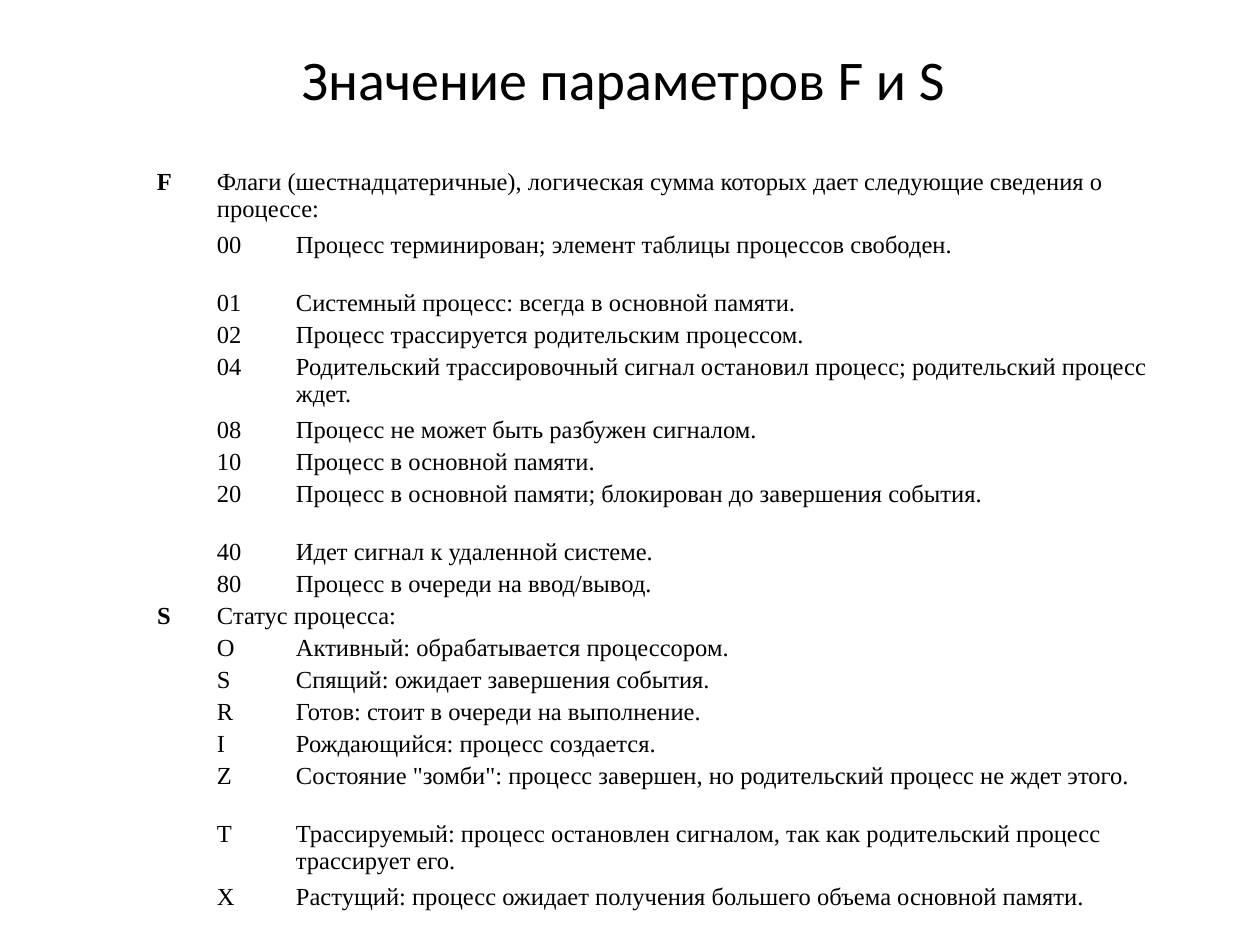
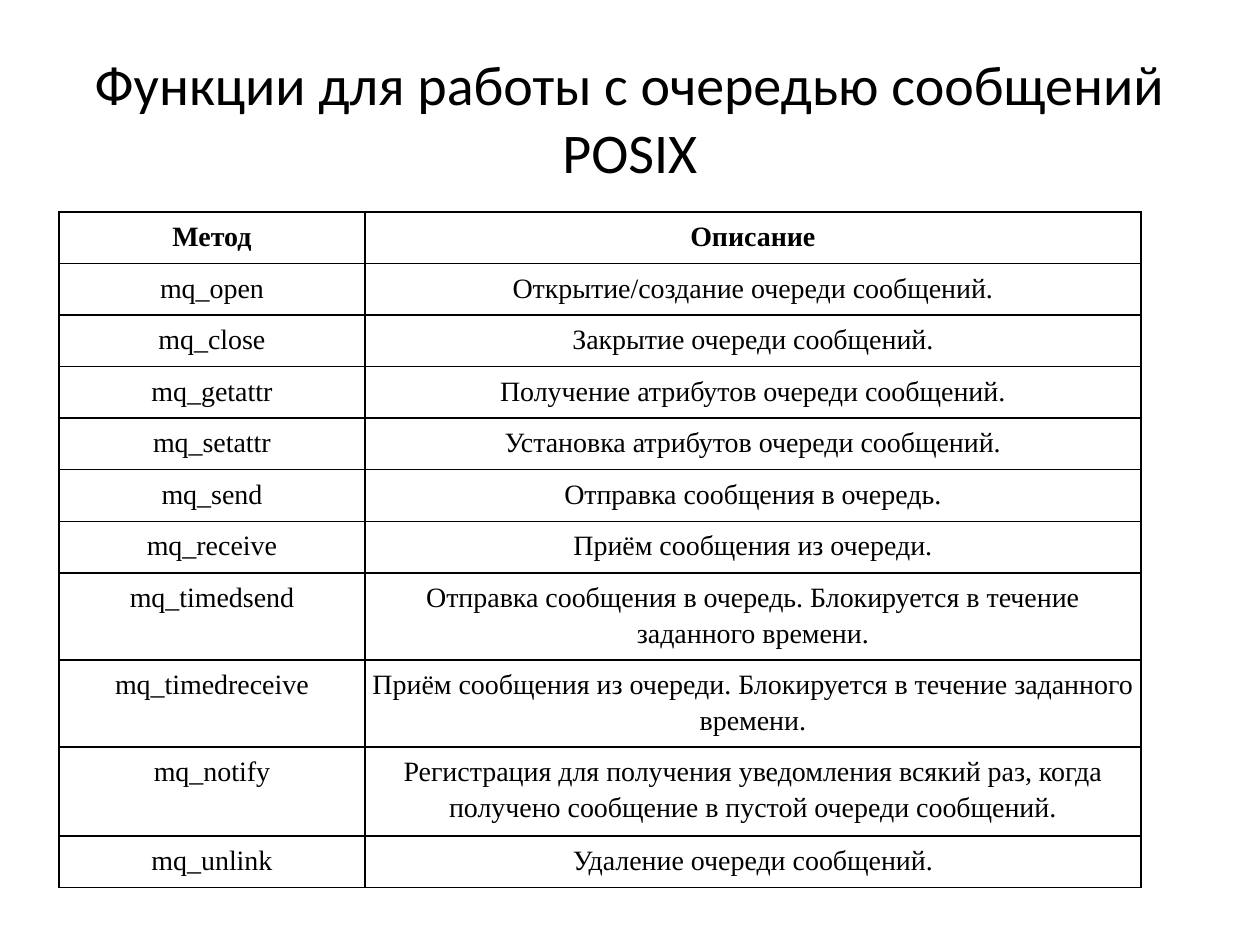
from lxml.etree import SubElement
from pptx import Presentation
from pptx.dml.color import RGBColor
from pptx.enum.text import MSO_ANCHOR as Anchor, PP_ALIGN as Align
from pptx.oxml.ns import qn
from pptx.util import Pt

PX = 914400 // 126
INK = "000000"
TITLE_FONT = dict(name="Calibri", size=Pt(32), bold=False)
FLAG_FONT = dict(name="Times New Roman", size=Pt(14), bold=False)
QUEUE_FONT = dict(name="Times New Roman", size=Pt(16), bold=False)
BOLD = dict(bold=True)

# Row heights of the parameter table
SHORT, LONG, WRAPPED = 32, 58, 63

# Each section: letter, meaning, height of its heading row, (code, meaning, height)
PARAMETERS = [
    ("F ", "Флаги (шестнадцатеричные), логическая сумма которых дает следующие сведения о процессе:", WRAPPED, [
        ("00", "Процесс терминирован; элемент таблицы процессов свободен.", LONG),
        ("01", "Системный процесс: всегда в основной памяти.", SHORT),
        ("02", "Процесс трассируется родительским процессом.", SHORT),
        ("04", "Родительский трассировочный сигнал остановил процесс; родительский процесс ждет.", WRAPPED),
        ("08", "Процесс не может быть разбужен сигналом.", SHORT),
        ("10", "Процесс в основной памяти.", SHORT),
        ("20", "Процесс в основной памяти; блокирован до завершения события.", LONG),
        ("40", "Идет сигнал к удаленной системе.", SHORT),
        ("80", "Процесс в очереди на ввод/вывод.", SHORT),
    ]),
    ("S ", "Статус процесса:", SHORT, [
        ("O", "Активный: обрабатывается процессором.", SHORT),
        ("S", "Спящий: ожидает завершения события.", SHORT),
        ("R", "Готов: стоит в очереди на выполнение.", SHORT),
        ("I", "Рождающийся: процесс создается.", SHORT),
        ("Z", "Состояние \"зомби\": процесс завершен, но родительский процесс не ждет этого.", LONG),
        ("T", "Трассируемый: процесс остановлен сигналом, так как родительский процесс трассирует его.", WRAPPED),
        ("X", "Растущий: процесс ожидает получения большего объема основной памяти.", LONG),
    ]),
]

QUEUE_FUNCTIONS = [
    ("Метод", "Описание"),
    ("mq_open", "Открытие/создание очереди сообщений."),
    ("mq_close", "Закрытие очереди сообщений."),
    ("mq_getattr", "Получение атрибутов очереди сообщений."),
    ("mq_setattr", "Установка атрибутов очереди сообщений."),
    ("mq_send", "Отправка сообщения в очередь."),
    ("mq_receive", "Приём сообщения из очереди."),
    ("mq_timedsend", "Отправка сообщения в очередь. Блокируется в течение заданного времени."),
    ("mq_timedreceive", "Приём сообщения из очереди. Блокируется в течение заданного времени."),
    ("mq_notify", "Регистрация для получения уведомления всякий раз, когда получено сообщение в пустой очереди сообщений."),
    ("mq_unlink", "Удаление очереди сообщений."),
]


def px(length):
    return length * PX


def color(code):
    return RGBColor.from_string(code)


def set_all(target, values):
    for name, value in values.items():
        setattr(target, name, value)


def write(frame, wording, font, **layout):
    paragraph = frame.paragraphs[0]
    set_all(paragraph, layout)
    run = paragraph.add_run()
    run.text = wording
    set_all(run.font, font)
    run.font.color.rgb = color(INK)


def add_title(slide, wording, box):
    frame = slide.shapes.add_textbox(*map(px, box)).text_frame
    set_all(frame, dict(word_wrap=True, vertical_anchor=Anchor.MIDDLE))
    write(frame, wording, TITLE_FONT, alignment=Align.CENTER)


def add_border(cell):
    properties = cell._tc.get_or_add_tcPr()
    for side in ("lnL", "lnR", "lnT", "lnB"):
        edge = SubElement(properties, qn(f"a:{side}"), w=str(Pt(1)))
        fill = SubElement(edge, qn("a:solidFill"))
        SubElement(fill, qn("a:srgbClr"), val=INK)


def add_grid(slide, left, top, widths, heights, margin, bordered=False):
    """Plain table; widths in px, heights in EMU."""
    grid = slide.shapes.add_table(len(heights), len(widths), px(left), px(top),
                                  px(sum(widths)), sum(heights)).table
    set_all(grid, dict(first_row=False, horz_banding=False))
    for column, width in zip(grid.columns, widths):
        column.width = px(width)
    for row, height in zip(grid.rows, heights):
        row.height = height
    sides = ("margin_left", "margin_right", "margin_top", "margin_bottom")
    for cell in grid.iter_cells():
        set_all(cell, dict.fromkeys(sides, px(margin)))
        if bordered:
            add_border(cell)
        cell.fill.background()
    return grid


def add_parameters(slide, left, top):
    heights = []
    for _, _, heading_height, values in PARAMETERS:
        heights += [px(heading_height)] + [px(height) for _, _, height in values]
    grid = add_grid(slide, left, top, (98, 79, 896), heights, margin=1)

    first = 0
    for letter, heading, _, values in PARAMETERS:
        # Section letter spans its rows, the heading spans both value columns
        last = first + len(values)
        grid.cell(first, 0).merge(grid.cell(last, 0))
        grid.cell(first, 1).merge(grid.cell(first, 2))
        write(grid.cell(first, 0).text_frame, letter, FLAG_FONT | BOLD, alignment=Align.CENTER)
        write(grid.cell(first, 1).text_frame, heading, FLAG_FONT)
        for row, (code, meaning, _) in enumerate(values, first + 1):
            write(grid.cell(row, 1).text_frame, code, FLAG_FONT)
            write(grid.cell(row, 2).text_frame, meaning, FLAG_FONT)
        first = last + 1


def add_queue_functions(slide, left, top):
    # Seven one-line rows share 361 px
    line_height = px(361) // 7
    heights = [px(89) if method == "mq_notify" else line_height for method, _ in QUEUE_FUNCTIONS]
    grid = add_grid(slide, left, top, (306, 776), heights, margin=5, bordered=True)
    for row, (method, description) in enumerate(QUEUE_FUNCTIONS):
        font = QUEUE_FONT | (BOLD if row == 0 else {})
        layout = dict(alignment=Align.CENTER, line_spacing=1.15)
        write(grid.cell(row, 0).text_frame, method, font, **layout)
        write(grid.cell(row, 1).text_frame, description, font, space_after=Pt(10), **layout)


def main():
    deck = Presentation()
    set_all(deck, dict(slide_width=px(1260), slide_height=px(945)))
    blank = deck.slide_layouts[6]

    # Process parameters
    slide = deck.slides.add_slide(blank)
    add_title(slide, "Значение параметров F и S ", (63, 38, 1134, 81))
    add_parameters(slide, 118, 168)

    # Message queue functions
    slide = deck.slides.add_slide(blank)
    add_title(slide, "Функции для работы с очередью сообщений POSIX", (63, 38, 1134, 158))
    add_queue_functions(slide, 59, 212)

    deck.save("out.pptx")


if __name__ == "__main__":
    main()
